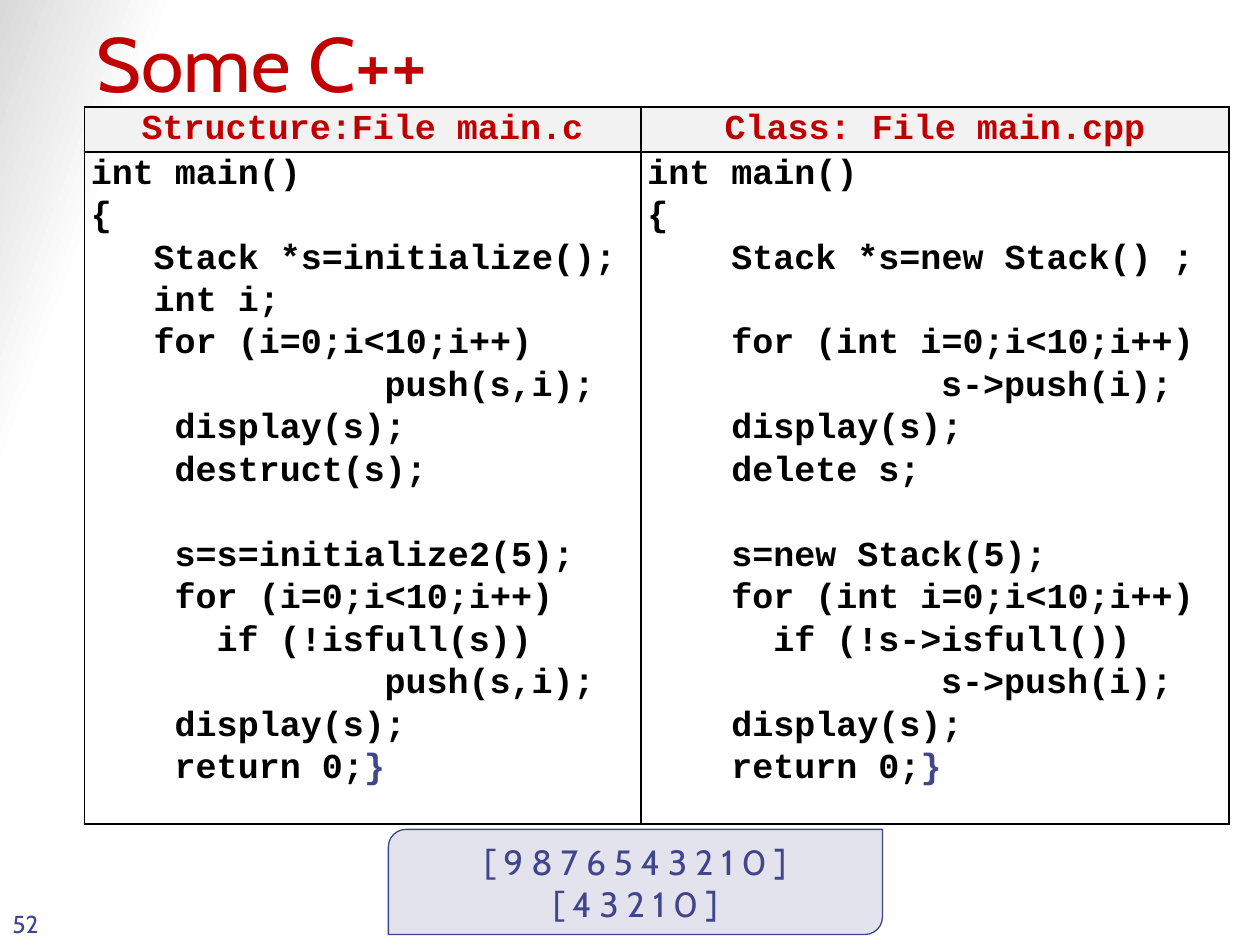
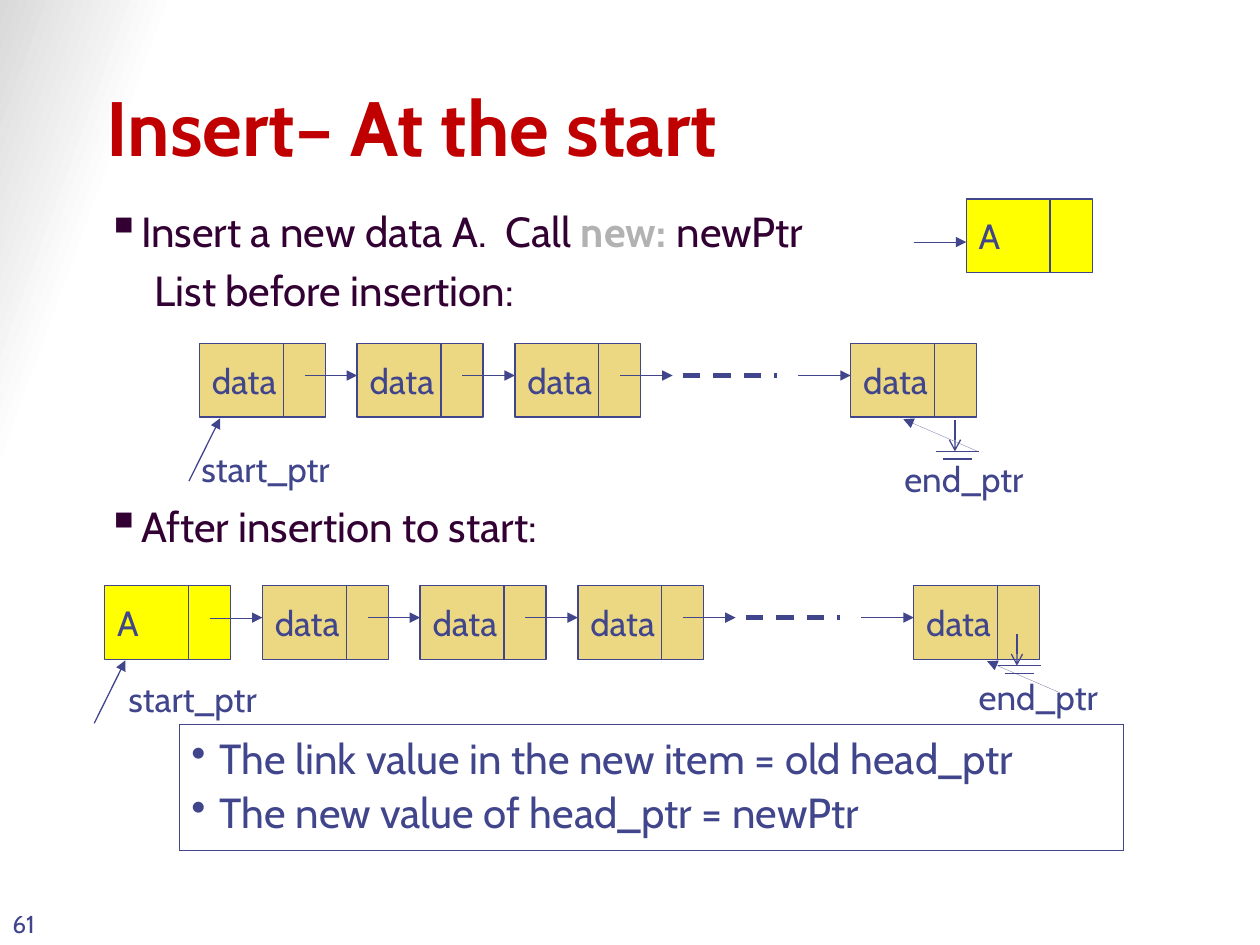
from dataclasses import dataclass
from typing import NamedTuple

from lxml.etree import SubElement
from pptx import Presentation
from pptx.dml.color import RGBColor
from pptx.enum.dml import MSO_LINE_DASH_STYLE as Dash
from pptx.enum.shapes import MSO_CONNECTOR as Connector, MSO_SHAPE as Preset
from pptx.enum.text import MSO_ANCHOR as Anchor, PP_ALIGN as Align
from pptx.oxml.ns import qn
from pptx.util import Cm, Pt


@dataclass(frozen=True)
class Theme:
    title: str = "C00000"
    ink: str = "40458C"
    body: str = "330033"
    keyword: str = "B2B2B2"
    black: str = "000000"
    white: str = "FFFFFF"
    corner: str = "D9D9D9"
    header_fill: str = "F2F2F2"
    node_fill: str = "ECD882"
    new_fill: str = "FFFF00"
    font: str = "Cabin"
    code_font: str = "Courier New"
    title_size: int = 44
    body_size: int = 24
    label_size: int = 20
    number_size: int = 14
    thin: float = 0.75
    hairline: float = 0.01
    thick: float = 2.5


THEME = Theme()


class Box(NamedTuple):
    left: float
    top: float
    width: float
    height: float

    def lengths(self) -> list:
        return [Cm(value) for value in self]


class Point(NamedTuple):
    x: float
    y: float


class Piece(NamedTuple):
    text: str
    color: str | None = None
    bold: bool | None = None


@dataclass
class Line:
    """One paragraph; margin, hanging and tab are in cm, before in points."""
    pieces: list[Piece]
    margin: float = 0
    hanging: float = 0
    tab: float = 0
    before: float = 0
    bullet: str = ""
    bullet_percent: int = 100


class CodeLine(NamedTuple):
    indent: int
    text: str
    gap_before: bool = False


class LinkedList(NamedTuple):
    left: float
    top: float
    head_left: float
    start_label: Point
    end_label: Point
    end_shift: float
    ground: Point


# ---- Shared drawing functions ----
def rgb(color: str) -> RGBColor:
    return RGBColor.from_string(color)


def write(frame, lines: list, *, size=THEME.label_size, color=THEME.ink, font=THEME.font,
          bold=False, align=Align.LEFT, spacing=None) -> None:
    for index, line in enumerate(lines):
        if isinstance(line, str):
            line = Line([Piece(line)])
        paragraph = frame.paragraphs[0] if index == 0 else frame.add_paragraph()
        paragraph.alignment = align
        paragraph.line_spacing = spacing
        paragraph.space_before = Pt(line.before)
        properties = paragraph._p.get_or_add_pPr()
        properties.set("marL", str(Cm(line.margin)))
        properties.set("indent", str(-Cm(line.hanging)))
        if line.bullet:
            SubElement(properties, qn("a:buSzPct"), val=str(line.bullet_percent * 1000))
            SubElement(properties, qn("a:buChar"), char=line.bullet)
        if line.tab:
            tabs = SubElement(properties, qn("a:tabLst"))
            SubElement(tabs, qn("a:tab"), pos=str(Cm(line.tab)), algn="l")
        for piece in line.pieces:
            run = paragraph.add_run()
            run.text = piece.text
            run.font.name = font
            run.font.size = Pt(size)
            run.font.bold = bold if piece.bold is None else piece.bold
            run.font.color.rgb = rgb(piece.color or color)


def add_text(slide, box: Box, lines: list, *, anchor=Anchor.TOP, **text_format) -> None:
    frame = slide.shapes.add_textbox(*box.lengths()).text_frame
    frame.word_wrap = True
    frame.vertical_anchor = anchor
    write(frame, lines, **text_format)


def add_box(slide, box: Box, lines: list, *, preset=Preset.RECTANGLE, fill=None, opacity=100,
            width=THEME.thin, anchor=Anchor.MIDDLE, wrap=False, **text_format) -> None:
    shape = slide.shapes.add_shape(preset, *box.lengths())
    shape.shadow.inherit = False
    shape.line.color.rgb = rgb(THEME.ink)
    shape.line.width = Pt(width)
    if fill:
        shape.fill.solid()
        shape.fill.fore_color.rgb = rgb(fill)
    else:
        shape.fill.background()
    if opacity < 100:
        color = shape._element.spPr.find(qn("a:solidFill"))[0]
        SubElement(color, qn("a:alpha"), val=str(opacity * 1000))
    shape.text_frame.word_wrap = wrap
    shape.text_frame.vertical_anchor = anchor
    write(shape.text_frame, lines, **text_format)


def add_line(slide, start: Point, end: Point, *, width=THEME.thin, head="", dash=None) -> None:
    connector = slide.shapes.add_connector(Connector.STRAIGHT, *map(Cm, (*start, *end)))
    connector.line.color.rgb = rgb(THEME.ink)
    connector.line.width = Pt(width)
    if dash:
        connector.line.dash_style = dash
    if head:
        SubElement(connector.line._get_or_add_ln(), qn("a:tailEnd"), type=head)
    SubElement(connector._element.spPr, qn("a:effectLst"))


def add_base_slide(presentation, number: str, title: str, title_box: Box, bold: bool):
    slide = presentation.slides.add_slide(presentation.slide_layouts[6])
    fill = slide.background.fill
    fill.gradient()
    fill.gradient_angle = 160
    stops = zip(fill.gradient_stops, (0.89, 1), (THEME.white, THEME.corner))
    for stop, position, color in stops:
        stop.position = position
        stop.color.rgb = rgb(color)
    add_text(slide, title_box, [title], anchor=Anchor.BOTTOM, size=THEME.title_size,
             color=THEME.title, bold=bold)
    add_text(slide, Box(0, 17.78, 1.48, 1.27), [number], anchor=Anchor.BOTTOM,
             size=THEME.number_size)
    return slide


# ---- Code comparison slide ----
CODE_CHARACTER = 0.423
CODE_LINE_POINTS = 24.25
CODE_SPACING = 1.07

C_CODE = [
    CodeLine(0, "int main()"), CodeLine(0, "{"),
    CodeLine(3, "Stack *s=initialize();"), CodeLine(3, "int i;"),
    CodeLine(3, "for (i=0;i<10;i++)"), CodeLine(14, "push(s,i);"),
    CodeLine(4, "display(s);"), CodeLine(4, "destruct(s);"),
    CodeLine(4, "s=s=initialize2(5);", True), CodeLine(4, "for (i=0;i<10;i++)"),
    CodeLine(6, "if (!isfull(s))"), CodeLine(14, "push(s,i);"),
    CodeLine(4, "display(s);"), CodeLine(4, "return 0;"),
]
CPP_CODE = [
    CodeLine(0, "int main()"), CodeLine(0, "{"),
    CodeLine(4, "Stack *s=new Stack() ;"),
    CodeLine(4, "for (int i=0;i<10;i++)", True), CodeLine(14, "s->push(i);"),
    CodeLine(4, "display(s);"), CodeLine(4, "delete s;"),
    CodeLine(4, "s=new Stack(5);", True), CodeLine(4, "for (int i=0;i<10;i++)"),
    CodeLine(6, "if (!s->isfull())"), CodeLine(14, "s->push(i);"),
    CodeLine(4, "display(s);"), CodeLine(4, "return 0;"),
]


def code_lines(code: list[CodeLine]) -> list[Line]:
    lines = [Line([Piece(text)], margin=indent * CODE_CHARACTER,
                  before=CODE_LINE_POINTS if gap else 0) for indent, text, gap in code]
    lines[-1].pieces.append(Piece("}", THEME.ink))
    return lines


def format_cell(cell, lines: list, fill: str | None, color: str, align) -> None:
    cell.margin_left = cell.margin_right = Cm(0.13)
    cell.margin_top = cell.margin_bottom = 0
    properties = cell._tc.get_or_add_tcPr()
    for side in ("a:lnL", "a:lnR", "a:lnT", "a:lnB"):
        border = SubElement(properties, qn(side), w=str(Pt(1)))
        SubElement(SubElement(border, qn("a:solidFill")), qn("a:srgbClr"), val=THEME.black)
    if fill:
        cell.fill.solid()
        cell.fill.fore_color.rgb = rgb(fill)
    else:
        cell.fill.background()
    write(cell.text_frame, lines, color=color, font=THEME.code_font, bold=True,
          align=align, spacing=CODE_SPACING)


def build_code_slide(presentation) -> None:
    slide = add_base_slide(presentation, "52", "Some C++", Box(1.7, 0.84, 21.59, 1.47), False)
    table = slide.shapes.add_table(2, 2, *Box(1.7, 2.16, 23.08, 13.7).lengths()).table
    table.first_row = table.horz_banding = False
    for row, height in zip(table.rows, (0.86, 12.84)):
        row.height = Cm(height)
    columns = [("Structure:File main.c", C_CODE, 11.22), ("Class: File main.cpp", CPP_CODE, 11.86)]
    for index, (heading, code, width) in enumerate(columns):
        table.columns[index].width = Cm(width)
        format_cell(table.cell(0, index), [heading], THEME.header_fill, THEME.title, Align.CENTER)
        format_cell(table.cell(1, index), code_lines(code), None, THEME.black, Align.LEFT)
    # Program output
    add_box(slide, Box(7.83, 16.72, 9.96, 2.12), ["[ 9 8 7 6 5 4 3 2 1 0 ]", "[ 4 3 2 1 0 ]"],
            preset=Preset.ROUND_2_DIAG_RECTANGLE, fill=THEME.ink, opacity=15,
            anchor=Anchor.TOP, align=Align.CENTER)


# ---- Linked list slide ----
DATA_WIDTH, LINK_WIDTH, NODE_HEIGHT = 1.69, 0.85, 1.48
PITCH, LAST_OFFSET = 3.18, 13.13
ARROW_LENGTH, ARROW_DROP = 1.06, 0.64

BEFORE = LinkedList(4.02, 6.93, 4.02, Point(3.81, 8.89), Point(17.98, 9.09), 0,
                    Point(18.87, 8.46))
AFTER = LinkedList(5.29, 11.81, 2.11, Point(2.34, 13.54), Point(19.48, 13.49), 0.42,
                   Point(20.12, 12.78))


def add_node(slide, left: float, top: float, text="data", fill=THEME.node_fill) -> None:
    add_box(slide, Box(left, top, DATA_WIDTH, NODE_HEIGHT), [text], fill=fill)
    add_box(slide, Box(left + DATA_WIDTH, top, LINK_WIDTH, NODE_HEIGHT), [], fill=fill)


def add_link(slide, tip: Point, width=THEME.thin) -> None:
    add_line(slide, Point(tip.x - ARROW_LENGTH, tip.y), tip, width=width, head="triangle")


def add_ground(slide, left: float, top: float) -> None:
    for inset, drop in ((0, 0.64), (0.13, 0.79)):
        add_line(slide, Point(left + inset, top + drop), Point(left + 0.86 - inset, top + drop))
    add_line(slide, Point(left + 0.38, top), Point(left + 0.38, top + 0.64), head="arrow")


def add_list(slide, chain: LinkedList) -> None:
    left, top, head = chain.left, chain.top, chain.head_left
    link_y = top + ARROW_DROP
    last = left + LAST_OFFSET
    for node_left in (left, left + PITCH, left + 2 * PITCH, last):
        add_node(slide, node_left, top)
    for tip_x in (left + PITCH, left + 2 * PITCH, left + 3 * PITCH, last):
        add_link(slide, Point(tip_x, link_y))
    add_line(slide, Point(left + 9.74, link_y), Point(left + 11.64, link_y),
             width=THEME.thick, dash=Dash.DASH)
    # Start and end pointers
    add_line(slide, Point(head - 0.21, top + 2.77), Point(head + 0.42, top + 1.5), head="triangle")
    end_x = last + chain.end_shift
    add_line(slide, Point(end_x + 2.54, top + 2.16), Point(end_x + 1.06, top + 1.52),
             width=THEME.hairline, head="triangle")
    for label, place in (("start_ptr", chain.start_label), ("end_ptr", chain.end_label)):
        add_text(slide, Box(*place, 3.81, 1.12), [label])
    add_ground(slide, *chain.ground)


def build_list_slide(presentation) -> None:
    slide = add_base_slide(presentation, "61", "Insert– At the start",
                           Box(1.9, 1.7, 21.59, 1.9), True)
    square = {"bullet": "▪", "bullet_percent": 110}
    add_text(slide, Box(1.9, 4.02, 21.59, 12.7), [
        Line([Piece("Insert a new data A.  Call "), Piece("new:", THEME.keyword, True),
              Piece("\tnewPtr")], tab=11.49, before=4.8, **square),
        Line([Piece("List before insertion:")], margin=0.97, before=4.8),
        Line([Piece("After insertion to start:")], before=106, **square),
    ], size=THEME.body_size, color=THEME.body)
    add_list(slide, BEFORE)
    add_list(slide, AFTER)
    # New node, first alone and then at the head of the list
    for left, top, tip in ((19.48, 4.01, Point(19.48, 4.88)),
                           (AFTER.head_left, AFTER.top,
                            Point(AFTER.left, AFTER.top + ARROW_DROP))):
        add_node(slide, left, top, "A", THEME.new_fill)
        add_link(slide, tip, THEME.hairline)
    # Summary
    summary = ["The link value in the new item = old head_ptr",
               "The new value of head_ptr = newPtr"]
    add_box(slide, Box(3.61, 14.61, 19.05, 2.54),
            [Line([Piece(text)], margin=0.57, hanging=0.57, before=4.8, bullet="•")
             for text in summary],
            width=THEME.hairline, wrap=True, size=THEME.body_size,
            align=Align.JUSTIFY, spacing=0.9)


def main() -> None:
    presentation = Presentation()
    presentation.slide_width, presentation.slide_height = Cm(25.4), Cm(19.05)
    build_code_slide(presentation)
    build_list_slide(presentation)
    presentation.save("out.pptx")


if __name__ == "__main__":
    main()
